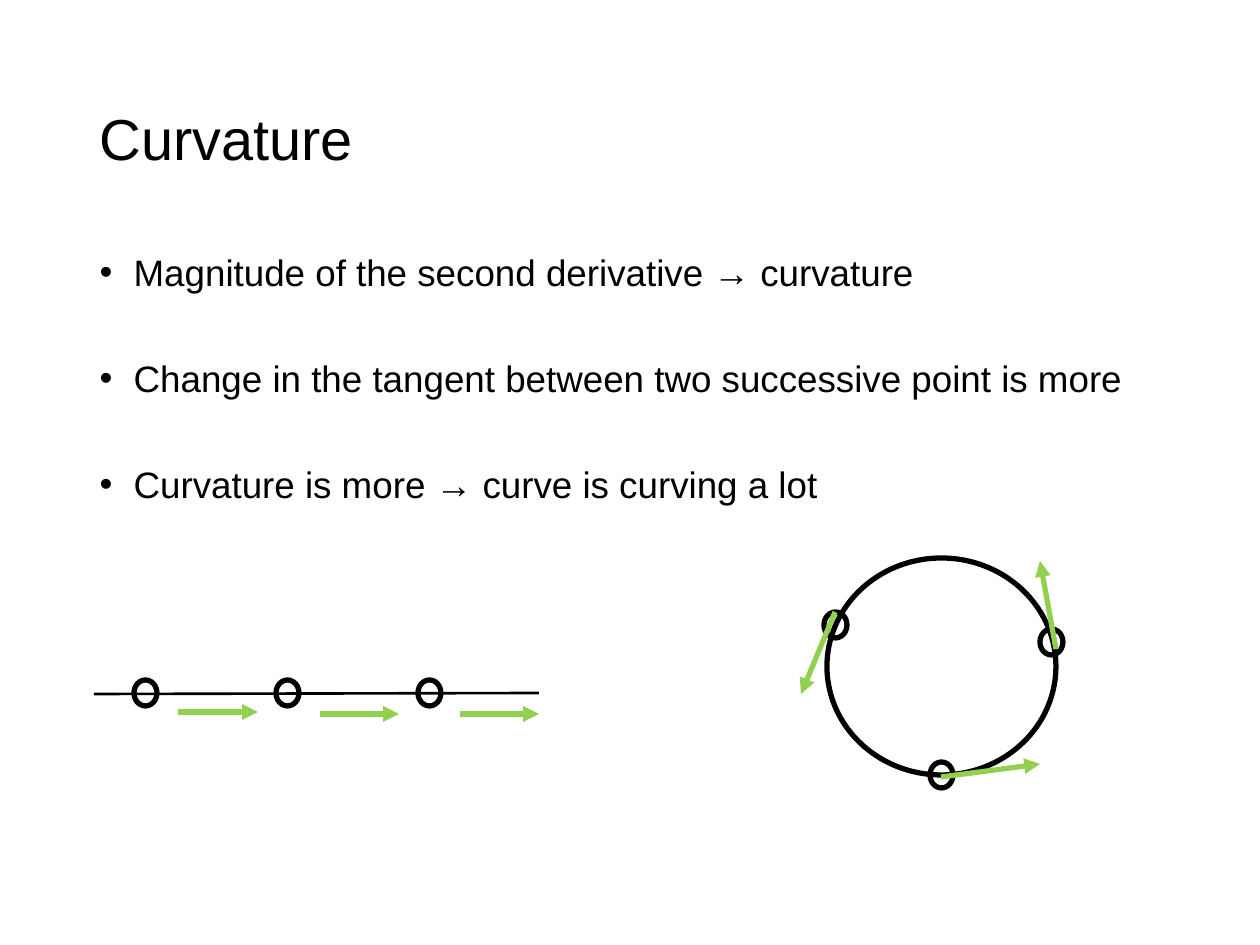
"""Build the slide on curvature and changing tangents."""
from lxml.etree import SubElement
from pptx import Presentation
from pptx.dml.color import RGBColor
from pptx.enum.shapes import MSO_CONNECTOR, MSO_SHAPE
from pptx.enum.text import MSO_ANCHOR, MSO_AUTO_SIZE, PP_ALIGN
from pptx.oxml.ns import qn
from pptx.util import Pt

PX = 914400 / 126
BLACK, GREEN = "000000", "92D050"


def paint(color, code):
    color.rgb = RGBColor.from_string(code)


def place(*nums):
    return [round(num * PX) for num in nums]


deck = Presentation()
deck.slide_width, deck.slide_height = place(1260, 945)
slide = deck.slides.add_slide(deck.slide_layouts[1])
title, body = slide.placeholders

points = [
    "Magnitude of the second derivative → curvature",
    "Change in the tangent between two successive point is more",
    "Curvature is more → curve is curving a lot",
]
texts = [
    (title, (87, 50, 1086, 183), MSO_ANCHOR.MIDDLE, 33, ["Curvature"]),
    (body, (87, 248, 1086, 310), MSO_ANCHOR.TOP, 21, points),
]
for holder, area, anchor, size, lines in texts:
    holder.left, holder.top, holder.width, holder.height = place(*area)
    frame = holder.text_frame
    frame.text = "\n".join(lines)
    frame.vertical_anchor = anchor
    frame.auto_size = MSO_AUTO_SIZE.NONE
    for rank, para in enumerate(frame.paragraphs):
        para.alignment = PP_ALIGN.LEFT
        para.line_spacing = 0.9
        para.space_before = Pt(38 if rank else 0)
        para.font.name = "Arial"
        para.font.size = Pt(size)
        paint(para.font.color, BLACK)

dent = place(34)[0]
for para in body.text_frame.paragraphs:
    props = para._p.get_or_add_pPr()
    props.set("marL", str(dent))
    props.set("indent", str(-dent))

dot = (23, 26)
row = [(134 + 142 * step, 680, *dot) for step in range(3)]
ring = [(827, 558, 229, 217)]
ring += [(*spot, *dot) for spot in [(824, 612), (930, 762), (1040, 629)]]
flat = [(178, 712, 258, 712), (320, 714, 399, 714), (460, 714, 539, 714)]
bent = [(835, 612, 801, 694), (941, 777, 1040, 764), (1056, 649, 1040, 561)]
base = [(94, 694, 539, 693)]

for axis, ovals, arrows in [(base, row, flat), ([], ring, bent)]:
    group = slide.shapes.add_group_shape().shapes
    strokes = [(ends, BLACK, 1.5) for ends in axis]
    strokes += [(ends, GREEN, 3) for ends in arrows]
    for area in ovals:
        oval = group.add_shape(MSO_SHAPE.OVAL, *place(*area))
        oval.shadow.inherit = False
        oval.fill.background()
        oval.line.width = Pt(3)
        paint(oval.line.color, BLACK)
    for ends, code, width in strokes:
        line = group.add_connector(MSO_CONNECTOR.STRAIGHT, *place(*ends))
        line.line.width = Pt(width)
        paint(line.line.color, code)
        props = line._element.spPr
        if code == GREEN:
            SubElement(props.find(qn("a:ln")), qn("a:tailEnd"), type="triangle")
        SubElement(props, qn("a:effectLst"))

deck.save("out.pptx")
